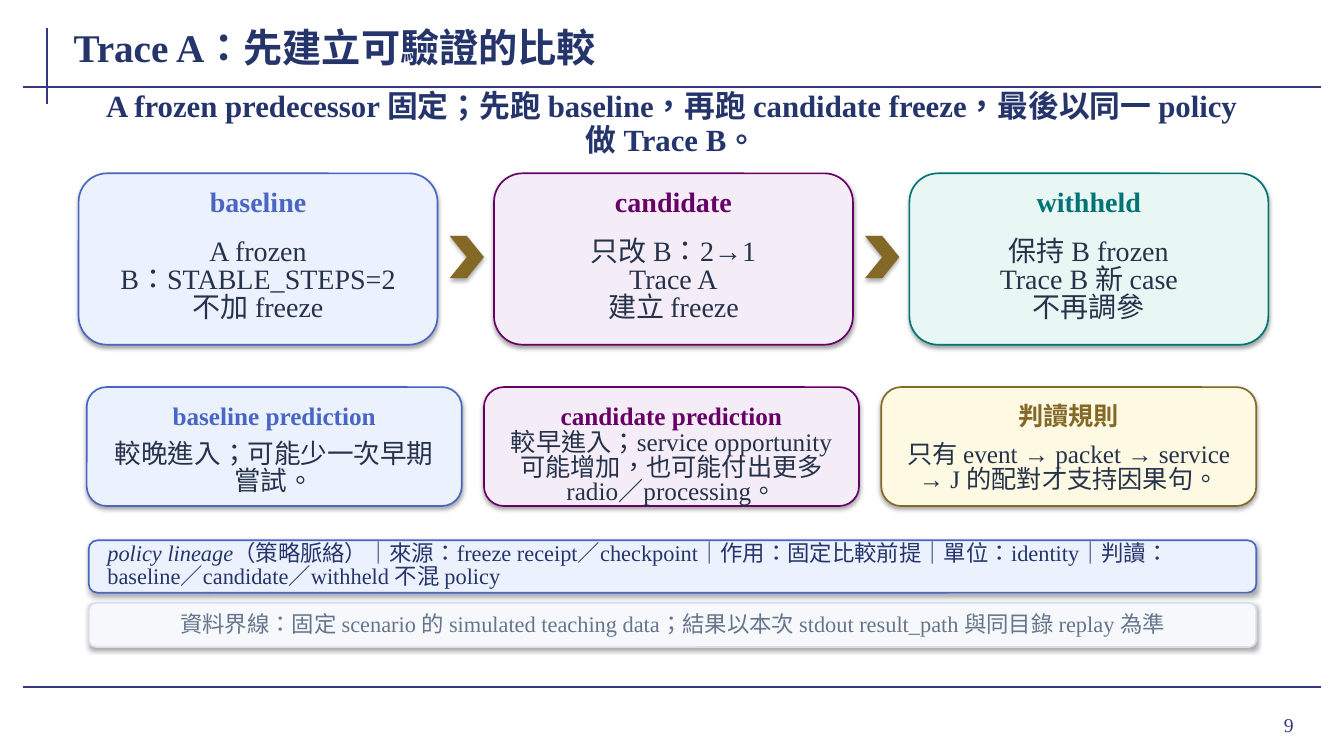
from pptx import Presentation
from pptx.dml.color import RGBColor
from pptx.enum.lang import MSO_LANGUAGE_ID as Lang
from pptx.enum.shapes import MSO_CONNECTOR as Connector, MSO_SHAPE as Shape
from pptx.enum.text import MSO_ANCHOR as Anchor, MSO_AUTO_SIZE as AutoSize, PP_ALIGN as Align
from pptx.oxml.ns import qn
from pptx.util import Inches, Pt

FONT = "Times New Roman"
COLORS = {
    "rule": "35377F", "navy": "25356B", "ink": "25324A",
    "blue": "4967C2", "blue_fill": "ECF1FE",
    "purple": "660066", "purple_fill": "F4EDF7",
    "teal": "007374", "teal_fill": "E8F7F4",
    "gold": "846826", "gold_fill": "FDF9E2",
    "gray": "65758B", "gray_line": "D7DEEA", "gray_fill": "F7F8FC",
}
STAGES = [
    ("baseline", ["A frozen", "B：STABLE_STEPS=2", "不加 freeze"], "blue"),
    ("candidate", ["只改 B：2→1", "Trace A", "建立 freeze"], "purple"),
    ("withheld", ["保持 B frozen", "Trace B 新 case", "不再調參"], "teal"),
]
PREDICTIONS = [
    ("baseline prediction", "較晚進入；可能少一次早期嘗試。", "blue", 19, 0.86),
    ("candidate prediction", "較早進入；service opportunity 可能增加，也可能付出更多 radio／processing。",
     "purple", 18, 0.82),
    ("判讀規則", "只有 event → packet → service → J 的配對才支持因果句。", "gold", 18, 0.82),
]
LINEAGE = ["policy lineage", "（策略脈絡）｜來源：freeze receipt／checkpoint｜作用：固定比較前提｜"
           "單位：identity｜判讀：baseline／candidate／withheld 不混 policy"]
BOUNDARY = "資料界線：固定 scenario 的 simulated teaching data；結果以本次 stdout result_path 與同目錄 replay 為準"


def color(name):
    return RGBColor.from_string(COLORS[name])


def write(frame, lines, size, ink, align=Align.CENTER, spacing=None, bold=False, inset=(0, 0)):
    frame.word_wrap = True
    frame.vertical_anchor = Anchor.MIDDLE
    frame.margin_left = frame.margin_right = Inches(inset[0])
    frame.margin_top = frame.margin_bottom = Inches(inset[1])
    for index, spans in enumerate(lines):
        para = frame.add_paragraph() if index else frame.paragraphs[0]
        para.alignment = align
        para.line_spacing = spacing
        para.font.name = FONT
        para.font.size = Pt(size)
        para.font.bold = bold
        para.font.color.rgb = color(ink)
        for text in spans:
            span = para.add_run()
            span.text = text
            span.font.language_id = Lang.TRADITIONAL_CHINESE


def add_text(page, box, lines, size, ink, **style):
    frame = page.shapes.add_textbox(*map(Inches, box)).text_frame
    write(frame, [[line] for line in lines], size, ink, **style)
    frame.auto_size = AutoSize.SHAPE_TO_FIT_TEXT


def add_panel(page, box, fill, line):
    panel = page.shapes.add_shape(Shape.ROUNDED_RECTANGLE, *map(Inches, box))
    panel.fill.solid()
    panel.fill.fore_color.rgb = color(fill)
    panel.line.color.rgb = color(line)
    panel.line.width = Pt(1.2)
    return panel


def add_rule(page, start, end):
    rule = page.shapes.add_connector(Connector.STRAIGHT, *map(Inches, start + end))
    rule.line.color.rgb = color("rule")
    rule.line.width = Pt(1.5)
    properties = rule._element.spPr
    properties.append(properties.makeelement(qn("a:effectLst"), {}))


def add_frame(page, number):
    add_rule(page, (0.47, 0.28), (0.47, 1.03))
    for top in (0.86, 6.82):
        add_rule(page, (0.23, top), (13.1, top))
    box = page.shapes.add_textbox(*map(Inches, (11.96, 6.93, 0.97, 0.52)))
    write(box.text_frame, [[number]], 14, "rule", align=Align.RIGHT, inset=(0.1, 0.05))


def add_heading(page, title, summary):
    heading = page.shapes.title
    heading.left, heading.top, heading.width, heading.height = map(Inches, (0.72, 0.2, 10.35, 0.53))
    write(heading.text_frame, [[title]], 28, "navy", align=Align.LEFT, bold=True, inset=(0.01, 0))
    heading.text_frame.auto_size = AutoSize.NONE
    add_text(page, (0.92, 1.02, 11.48, 0.42), [summary], 22, "navy",
             spacing=0.94, bold=True, inset=(0.02, 0))


def add_card(page, box, title, lines, accent, title_size, body_size, spacing):
    left, top, width, height = box
    add_panel(page, box, f"{accent}_fill", accent)
    add_text(page, (left + 0.16, top + 0.12, width - 0.32, 0.36), [title], title_size, accent,
             spacing=0.92, bold=True, inset=(0.02, 0))
    add_text(page, (left + 0.18, top + 0.56, width - 0.36, height - 0.68), lines, body_size, "ink",
             spacing=spacing, inset=(0.03, 0.02))


def add_stages(page, left, top, width, height, gap):
    for index, (title, lines, accent) in enumerate(STAGES):
        x = left + index * (width + gap)
        if index:
            arrow = page.shapes.add_shape(
                Shape.CHEVRON, *map(Inches, (x - gap + 0.12, top + 0.62, 0.34, 0.42)))
            arrow.fill.solid()
            arrow.fill.fore_color.rgb = color("gold")
            arrow.line.fill.background()
        add_card(page, (x, top, width, height), title, lines, accent, 20, 20, 0.84)


def add_predictions(page, left, top, width, height, gap):
    for index, (title, text, accent, size, spacing) in enumerate(PREDICTIONS):
        box = (left + index * (width + gap), top, width, height)
        add_card(page, box, title, [text], accent, 18, size, spacing)


def add_notes_bars(page, left, top, width):
    lineage = add_panel(page, (left, top, width, 0.52), "blue_fill", "blue").text_frame
    write(lineage, [LINEAGE], 16, "navy", align=Align.LEFT, spacing=0.86, inset=(0.16, 0.01))
    lineage.paragraphs[0].runs[0].font.italic = True
    boundary = add_panel(page, (left, top + 0.62, width, 0.44), "gray_fill", "gray_line").text_frame
    write(boundary, [[BOUNDARY]], 16, "gray", spacing=0.9, inset=(0.03, 0.01))


def main():
    deck = Presentation()
    deck.slide_width, deck.slide_height = Inches(13.33), Inches(7.5)
    page = deck.slides.add_slide(deck.slide_layouts[5])
    add_frame(page, "9")
    add_heading(page, "Trace A：先建立可驗證的比較",
                "A frozen predecessor 固定；先跑 baseline，再跑 candidate freeze，最後以同一 policy 做 Trace B。")
    add_stages(page, 0.78, 1.72, 3.56, 1.7, 0.56)
    add_predictions(page, 0.86, 3.84, 3.72, 1.18, 0.22)
    add_notes_bars(page, 0.88, 5.36, 11.58)
    deck.save("out.pptx")


if __name__ == "__main__":
    main()
